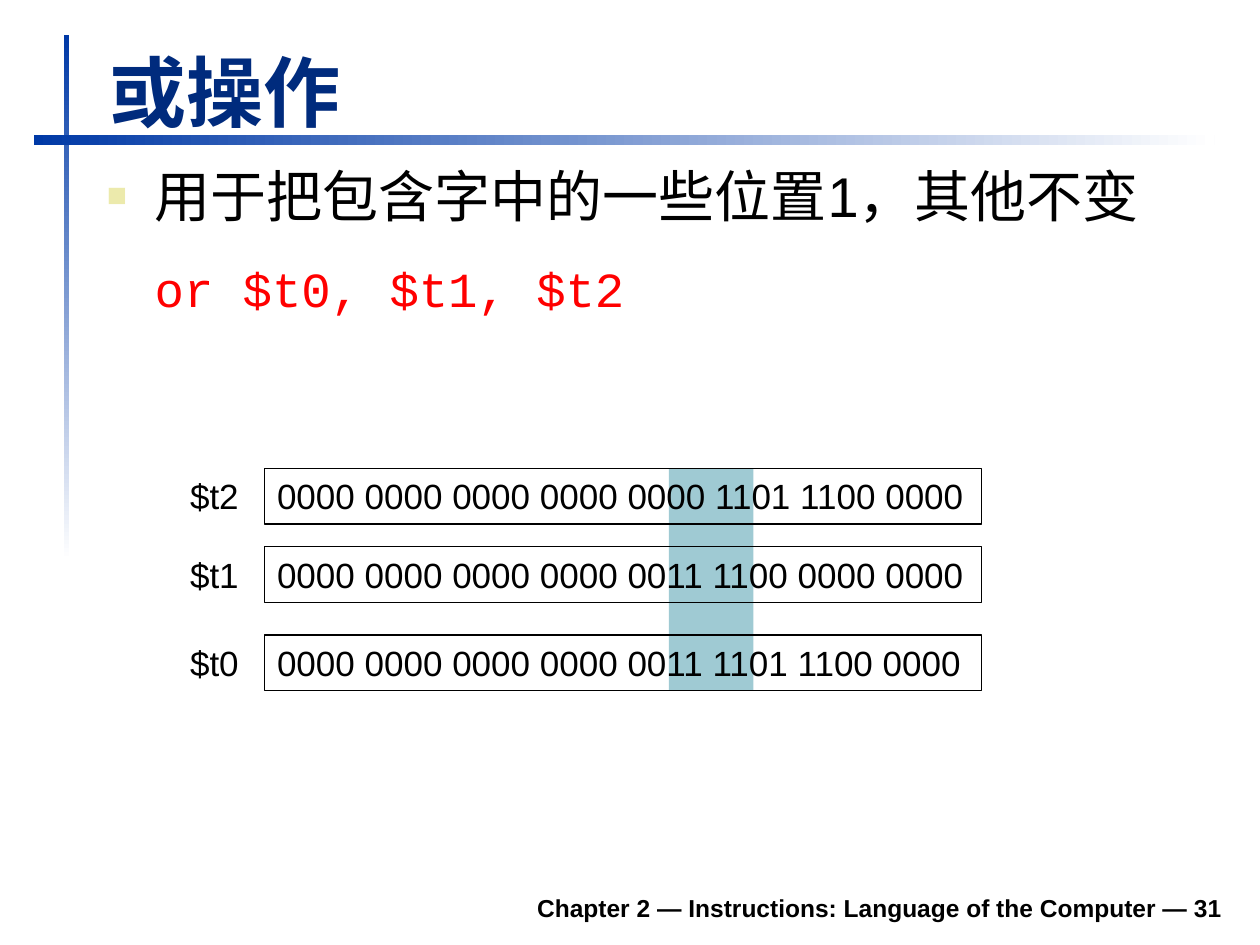
from dataclasses import dataclass

from lxml.etree import SubElement
from pptx import Presentation
from pptx.dml.color import RGBColor
from pptx.enum.shapes import MSO_SHAPE as Preset
from pptx.enum.text import MSO_ANCHOR as Anchor, PP_ALIGN as Align
from pptx.oxml.ns import qn
from pptx.util import Inches, Pt

BLACK = RGBColor(0, 0, 0)
WHITE = RGBColor(255, 255, 255)
RED = RGBColor(255, 0, 0)
NAVY = RGBColor(0x00, 0x2B, 0x7D)
RULE_BLUE = RGBColor(0x00, 0x39, 0xA6)
BAND_TEAL = RGBColor(0x9F, 0xCA, 0xD3)
BULLET_SAND = RGBColor(0xEC, 0xEA, 0xAC)

WIDTH, HEIGHT = 10, 7.5
LABEL_LEFT, LABEL_WIDTH = 1.41, 0.62
WORD_LEFT, WORD_WIDTH = 2.1, 5.69
ROW_HEIGHT = 0.44


@dataclass(frozen=True)
class Box:
    left: float
    top: float
    width: float
    height: float

    def lengths(self) -> list:
        return [Inches(v) for v in (self.left, self.top, self.width, self.height)]


@dataclass(frozen=True)
class Register:
    name: str
    bits: str
    top: float


REGISTERS = (
    Register("$t2", "0000 0000 0000 0000 0000 1101 1100 0000", 3.72),
    Register("$t1", "0000 0000 0000 0000 0011 1100 0000 0000", 4.34),
    Register("$t0", "0000 0000 0000 0000 0011 1101 1100 0000", 5.04),
)


def add_rectangle(slide, box: Box):
    shape = slide.shapes.add_shape(Preset.RECTANGLE, *box.lengths())
    shape.shadow.inherit = False
    shape.line.fill.background()
    return shape


def add_fading_rule(slide, box: Box, angle: int) -> None:
    fill = add_rectangle(slide, box).fill
    fill.gradient()
    fill.gradient_angle = angle
    for stop, color in zip(fill.gradient_stops, (RULE_BLUE, WHITE)):
        stop.color.rgb = color


def write(paragraph, text: str, size: float, color: RGBColor = BLACK,
          name: str = "Arial", bold: bool = False, align=Align.LEFT) -> None:
    paragraph.alignment = align
    run = paragraph.add_run()
    run.text = text
    run.font.color.rgb = color
    for key, value in {"size": Pt(size), "name": name, "bold": bold}.items():
        setattr(run.font, key, value)


def add_text(slide, box: Box, text: str, size: float, anchor=Anchor.TOP,
             wrap: bool = True, **style):
    shape = slide.shapes.add_textbox(*box.lengths())
    frame = shape.text_frame
    frame.word_wrap = wrap
    frame.vertical_anchor = anchor
    write(frame.paragraphs[0], text, size, **style)
    return frame


def indent(paragraph, hanging: bool) -> None:
    """Indent the text; a hanging one starts with a square bullet."""
    properties = paragraph._p.get_or_add_pPr()
    margin = Inches(0.38)
    properties.set("marL", str(margin))
    properties.set("indent", str(-margin if hanging else 0))
    if hanging:
        color = SubElement(properties, qn("a:buClr"))
        SubElement(color, qn("a:srgbClr"), val=str(BULLET_SAND))
        SubElement(properties, qn("a:buSzPct"), val="60000")
        SubElement(properties, qn("a:buFont"), typeface="Arial")
        SubElement(properties, qn("a:buChar"), char="■")


def add_body(slide) -> None:
    frame = add_text(slide, Box(0.75, 1.23, 9.04, 2.27),
                     "用于把包含字中的一些位置1，其他不变", 32)
    indent(frame.paragraphs[0], hanging=True)
    code = frame.add_paragraph()
    indent(code, hanging=False)
    code.space_before, code.space_after = Pt(17.5), Pt(10.5)
    write(code, "or $t0, $t1, $t2", 28, RED, "Courier New")


def add_register(slide, register: Register) -> None:
    add_text(slide, Box(LABEL_LEFT, register.top, LABEL_WIDTH, ROW_HEIGHT),
             register.name, 20)
    word = add_rectangle(slide, Box(WORD_LEFT, register.top, WORD_WIDTH, ROW_HEIGHT))
    word.fill.background()
    word.line.color.rgb = BLACK
    word.line.width = Pt(0.75)
    frame = word.text_frame
    frame.word_wrap = False
    frame.vertical_anchor = Anchor.TOP
    write(frame.paragraphs[0], register.bits, 20)


def main() -> None:
    presentation = Presentation()
    presentation.slide_width, presentation.slide_height = Inches(WIDTH), Inches(HEIGHT)
    slide = presentation.slides.add_slide(presentation.slide_layouts[6])

    add_fading_rule(slide, Box(0.51, 0.28, 0.04, 4.17), angle=270)
    add_fading_rule(slide, Box(0.27, 1.07, 9.37, 0.08), angle=0)
    add_text(slide, Box(1.85, 6.98, 7.95, 0.39),
             "Chapter 2 — Instructions: Language of the Computer — 31", 14,
             anchor=Anchor.BOTTOM, bold=True, align=Align.RIGHT)

    band_top = REGISTERS[0].top
    band_height = REGISTERS[-1].top + ROW_HEIGHT - band_top
    band = add_rectangle(slide, Box(5.31, band_top, 0.67, band_height))
    band.fill.solid()
    band.fill.fore_color.rgb = BAND_TEAL

    add_text(slide, Box(0.77, 0.31, 9.03, 0.83), "或操作", 44,
             anchor=Anchor.BOTTOM, color=NAVY, bold=True)
    add_body(slide)
    for register in REGISTERS:
        add_register(slide, register)
    presentation.save("out.pptx")


if __name__ == "__main__":
    main()
